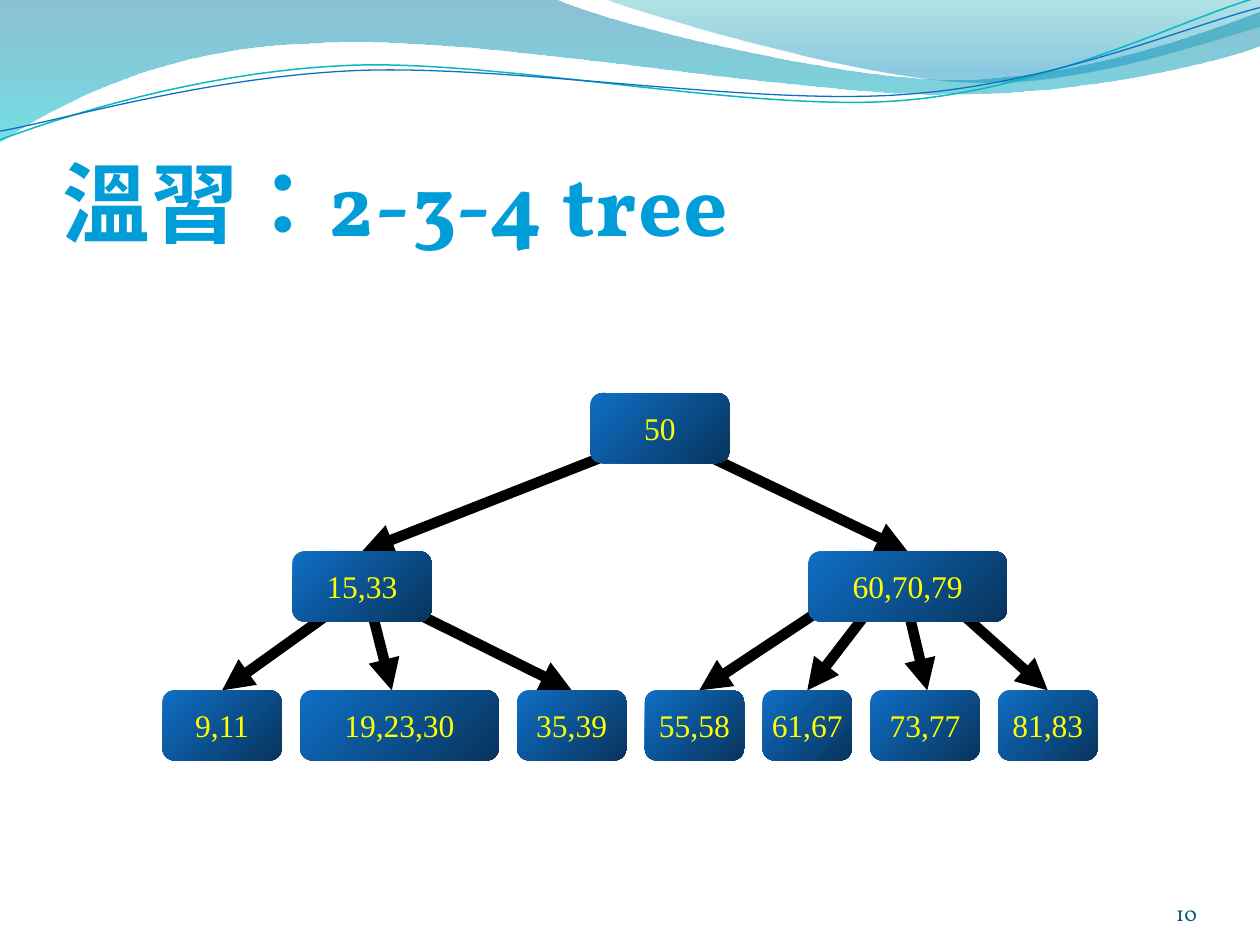
from lxml import etree
from pptx import Presentation, util as u
from pptx.dml.color import RGBColor
from pptx.enum import lang, shapes, text
from pptx.oxml import ns

Pt = u.Pt


def color(code):
    return RGBColor.from_string(code)


def paint(shape, stops, angle):
    """Fill with a linear gradient; stops are (position, colour, opacity %)."""
    shape.shadow.inherit = False
    shape.line.fill.background()
    shape.fill.gradient()
    shape.fill.gradient_angle = 360 - angle
    for stop, (position, code, _) in zip(shape.fill.gradient_stops, stops):
        stop.position = position
        stop.color.rgb = color(code)
    for tone, (_, _, opacity) in zip(shape._element.spPr.iter(ns.qn("a:srgbClr")), stops):
        if opacity < 100:
            etree.SubElement(tone, ns.qn("a:alpha")).set("val", str(opacity * 1000))


deck = Presentation()
deck.slide_width, deck.slide_height = Pt(720), Pt(540)
page = deck.slides.add_slide(deck.slide_layouts[6])

# Header waves: pairs are straight segments, six numbers are Bezier curves
band = [(0, 0), (317, -0.7), (342.7, 12.2, 478, 45.4, 545.8, 45.4),
        (614.2, 45.4, 689.8, 18.7, 720, 6.5), (720.7, 25.9),
        (707.8, 31.7, 626.4, 54.7, 537.1, 54), (447.8, 54, 275, 20.2, 185, 24.5),
        (92.9, 25.9, 33.1, 59.8, -0.7, 81.4), (0, 0)]
crest = [(344.9, -0.7), (366.5, 7.9, 491, 44.6, 553.7, 46.8),
         (616.3, 49.7, 691.9, 23, 720, 15.1), (720, 0), (344.9, -0.7)]
teal_line = [(0, 79.9), (34.6, 67, 113.8, 41, 199.4, 37.4),
             (284.4, 33.8, 427, 64.1, 513.4, 57.6),
             (599.8, 51.1, 675.4, 10.8, 718.6, -1.4)]
blue_line = [(0, 74.9), (33.8, 69.1, 118.1, 43.9, 203.8, 40.3),
             (290.2, 36.7, 429.8, 60.5, 516.2, 54),
             (601.9, 48.2, 677.5, 15.1, 720, 4.3)]
waves = [
    (band, [(0, "0074A1", 45), (1, "00C6CF", 55)], None),
    (crest, [(0, "00A1A9", 30), (0.8, "008BBF", 45)], None),
    (teal_line, None, ("0AB8BF", 0.85)),
    (blue_line, None, ("0F6FC6", 0.75)),
]
for outline, stops, stroke in waves:
    points = [(segment[i] * 100, segment[i + 1] * 100)
              for segment in outline for i in range(0, len(segment), 2)]
    builder = page.shapes.build_freeform(*points[0], scale=Pt(1) / 100)
    builder.add_line_segments(points[1:], close=stroke is None)
    wave = builder.convert_to_shape()
    # Turn each run of three control points into one curve
    sides = iter(list(wave._element.spPr.iter(ns.qn("a:lnTo"))))
    for segment in outline[1:]:
        side = next(sides)
        if len(segment) == 6:
            curve = etree.Element(ns.qn("a:cubicBezTo"))
            side.addprevious(curve)
            for part in (side, next(sides), next(sides)):
                curve.append(part[0])
                part.getparent().remove(part)
    if stops:
        paint(wave, stops, 90)
    else:
        wave.shadow.inherit = False
        wave.fill.background()
        wave.line.color.rgb = color(stroke[0])
        wave.line.width = Pt(stroke[1])

# Page number and title
labels = [
    ("10", (624.2, 500.4, 59.8, 28.8), 0, 12, "045D75", False, text.PP_ALIGN.RIGHT),
    ("溫習：2-3-4 tree", (36, 55.4, 648, 90), 3.6, 50, "009DD9", True, text.PP_ALIGN.LEFT),
]
for words, place, inset, size, code, bold, align in labels:
    box = page.shapes.add_textbox(*map(Pt, place))
    frame = box.text_frame
    frame.word_wrap = True
    frame.vertical_anchor = text.MSO_ANCHOR.BOTTOM
    frame.margin_left = frame.margin_right = frame.margin_bottom = 0
    frame.margin_top = Pt(inset)
    para = frame.paragraphs[0]
    para.alignment = align
    span = para.add_run()
    span.text = words
    font = para.font
    font.name, font.size, font.bold = "Vollkorn", Pt(size), bold
    font.color.rgb = color(code)
    if bold:
        span.font.language_id = lang.MSO_LANGUAGE_ID.TRADITIONAL_CHINESE
        span._r.get_or_add_rPr().set("spc", "50")

# Tree nodes: label, left, top, width; widths are multiples of one unit
UNIT, GAP, HEIGHT = 5.67, 10.6, 40
ROOT_TOP, MIDDLE_TOP, LEAF_TOP = 224.6, 315.1, 394.5
nodes = []
left = 92.9
for label, units in [("9,11", 12), ("19,23,30", 20), ("35,39", 11), ("55,58", 10),
                     ("61,67", 9), ("73,77", 11), ("81,83", 10)]:
    nodes.append((label, left, LEAF_TOP, units * UNIT))
    left += units * UNIT + GAP
nodes += [("15,33", 167.2, MIDDLE_TOP, 14 * UNIT),
          ("60,70,79", 462, MIDDLE_TOP, 20 * UNIT),
          ("50", 337.4, ROOT_TOP, 14 * UNIT)]

# Arrows lie behind the nodes: child, start, tip
arrows = {}
for child, x, y, tip_x, tip_y in [
    ("9,11", 190.1, 349.2, 127.4, LEAF_TOP),
    ("19,23,30", 212.4, 349.2, 223.9, LEAF_TOP),
    ("35,39", 235.4, 349.2, 326.2, LEAF_TOP),
    ("55,58", 468, 349.2, 399.6, LEAF_TOP),
    ("61,67", 496.1, 349.2, 462.2, LEAF_TOP),
    ("73,77", 519.1, 349.2, 529.9, LEAF_TOP),
    ("81,83", 541.4, 343.4, 598.3, LEAF_TOP),
    ("15,33", 365.8, 252.7, 207.4, MIDDLE_TOP),
    ("60,70,79", 388.1, 252.7, 519.1, MIDDLE_TOP),
]:
    arrow = page.shapes.add_connector(shapes.MSO_CONNECTOR.STRAIGHT,
                                      Pt(x), Pt(y), Pt(tip_x), Pt(tip_y))
    arrow.line.color.rgb = color("000000")
    arrow.line.width = Pt(6)
    properties = arrow._element.spPr
    etree.SubElement(properties.find(ns.qn("a:ln")), ns.qn("a:tailEnd")).set("type", "triangle")
    etree.SubElement(properties, ns.qn("a:effectLst"))
    arrows[child] = arrow

for label, left, top, width in nodes:
    node = page.shapes.add_shape(shapes.MSO_SHAPE.ROUNDED_RECTANGLE,
                                 Pt(left), Pt(top), Pt(width), Pt(HEIGHT))
    node.adjustments[0] = 0.167
    paint(node, [(0, "0F6FC6", 100), (1, "08345C", 100)], 45)
    frame = node.text_frame
    frame.word_wrap = False
    frame.vertical_anchor = text.MSO_ANCHOR.MIDDLE
    para = frame.paragraphs[0]
    para.text = label
    para.alignment = text.PP_ALIGN.CENTER
    para.font.name, para.font.size = "Times New Roman", Pt(18)
    para.font.color.rgb = color("FFFF00")
    # Join arrows whose tip meets the middle of the top side
    arrow = arrows.get(label)
    if arrow and abs(arrow.end_x - Pt(left + width / 2)) < Pt(1):
        arrow.end_connect(node, 0)

deck.save("out.pptx")
